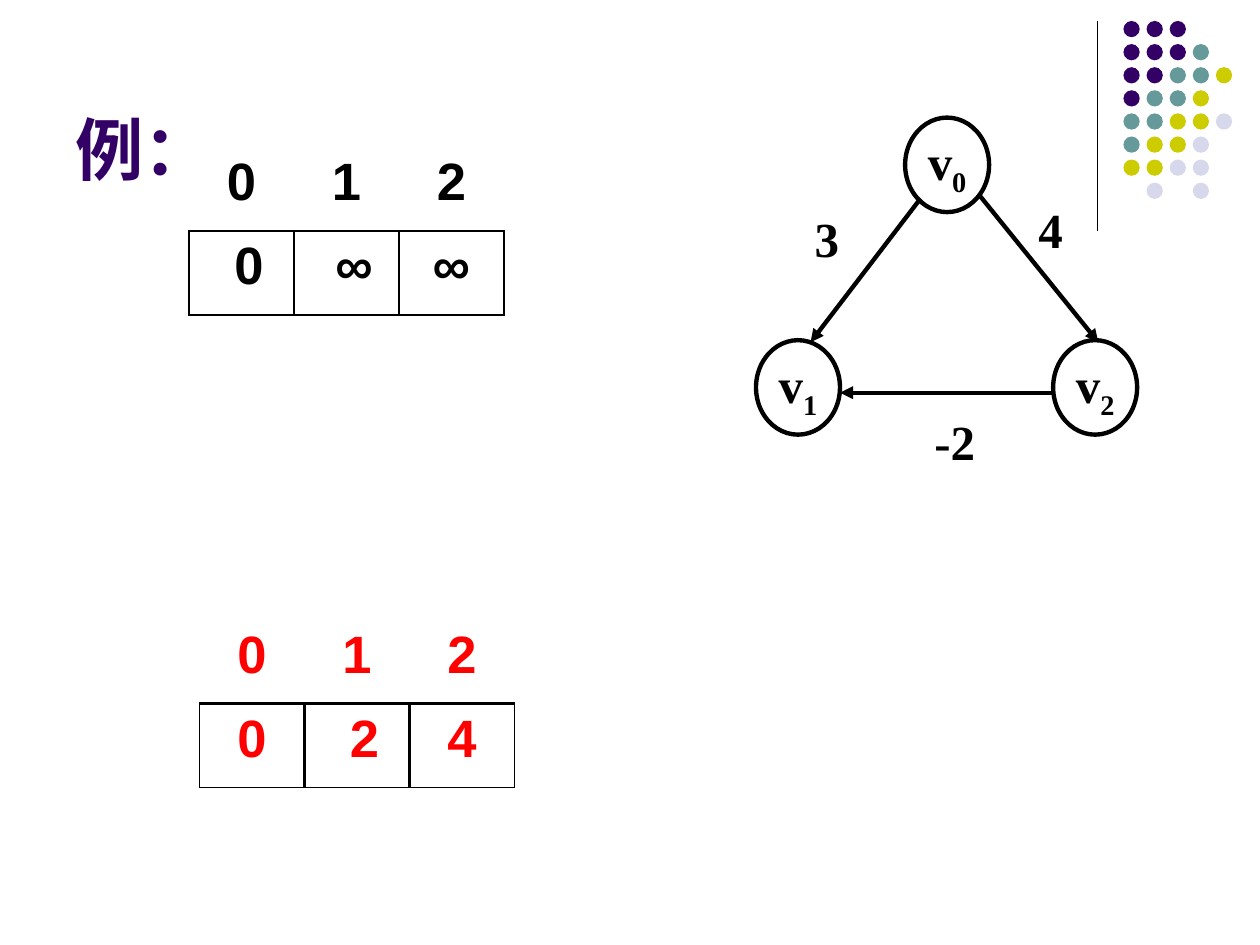
from lxml.etree import SubElement
from pptx import Presentation
from pptx.dml.color import RGBColor
from pptx.enum.shapes import MSO_CONNECTOR, MSO_SHAPE
from pptx.enum.text import MSO_ANCHOR, PP_ALIGN
from pptx.oxml.ns import qn
from pptx.util import Emu, Inches, Pt

BLACK = RGBColor(0x00, 0x00, 0x00)
RED = RGBColor(0xFF, 0x00, 0x00)
PURPLE = RGBColor(0x33, 0x00, 0x66)
TEAL = RGBColor(0x66, 0x99, 0x99)
OLIVE = RGBColor(0xCC, 0xCC, 0x00)
LAVENDER = RGBColor(0xD8, 0xD8, 0xEC)
NO_STYLE = "{2D5ABB26-0587-4C30-8999-92F81FD0307C}"

presentation = Presentation()
presentation.slide_width = Inches(10)
presentation.slide_height = Inches(7.5)
slide = presentation.slides.add_slide(presentation.slide_layouts[6])
shapes = slide.shapes


def grid(*cells):
    """Lengths on a grid of 120 columns by 90 rows."""
    return [Emu(round(cell * presentation.slide_width / 120)) for cell in cells]


def add_line(start, end, width):
    line = shapes.add_connector(MSO_CONNECTOR.STRAIGHT, *grid(*start, *end))
    line.line.color.rgb = BLACK
    line.line.width = Pt(width)
    SubElement(line._element.spPr, qn("a:effectLst"))
    return line


# Corner decoration
add_line((104.5, 2), (104.5, 22), 0.75)
dot_colors = {"P": PURPLE, "T": TEAL, "O": OLIVE, "L": LAVENDER}
dot_rows = ["PPP", "PPPT", "PPTTO", "PTTO", "TTOOL", "TOOL", "OOLL", " L L"]
for row, pattern in enumerate(dot_rows):
    for column, key in enumerate(pattern):
        if key in dot_colors:
            dot = shapes.add_shape(
                MSO_SHAPE.OVAL, *grid(107 + 2.2 * column, 2 + 2.2 * row, 1.55, 1.55))
            dot.shadow.inherit = False
            dot.fill.solid()
            dot.fill.fore_color.rgb = dot_colors[key]
            dot.line.fill.background()

# Title
title = shapes.add_textbox(*grid(6, 1.6, 99, 17))
title.text_frame.word_wrap = True
title.text_frame.vertical_anchor = MSO_ANCHOR.BOTTOM
paragraph = title.text_frame.paragraphs[0]
paragraph.text = "例："
paragraph.font.size = Pt(39)
paragraph.font.name = "Arial"
paragraph.font.bold = True
paragraph.font.color.rgb = PURPLE

# Graph: vertices, edges and weights
graph_texts = []
for number, left, top in [("0", 86.2, 11.2), ("1", 72, 32.4), ("2", 100.3, 32.4)]:
    vertex = shapes.add_shape(MSO_SHAPE.OVAL, *grid(left, top, 8, 9))
    vertex.shadow.inherit = False
    vertex.fill.background()
    vertex.line.color.rgb = BLACK
    vertex.line.width = Pt(2.5)
    vertex.text_frame.vertical_anchor = MSO_ANCHOR.MIDDLE
    paragraph = vertex.text_frame.paragraphs[0]
    paragraph.alignment = PP_ALIGN.CENTER
    paragraph.add_run().text = "v"
    subscript = paragraph.add_run()
    subscript.text = number
    subscript.font._element.set("baseline", "-25000")
    graph_texts.append(vertex)

edges = [((87.6, 19), (77.2, 32.6)), ((93.2, 18.5), (104.6, 32.6)),
         ((100.3, 37.4), (80, 37.4))]
for start, end in edges:
    edge = add_line(start, end, 2.5)
    SubElement(edge.line._get_or_add_ln(), qn("a:tailEnd"), type="triangle")

for weight, left, top, width in [("4", 98.9, 19, 3.4), ("3", 77.6, 19.9, 3.4),
                                 ("-2", 89, 39.2, 7)]:
    label = shapes.add_textbox(*grid(left, top, width, 5.6))
    label.text_frame.text = weight
    graph_texts.append(label)

for shape in graph_texts:
    frame = shape.text_frame
    frame.word_wrap = True
    frame.margin_left = frame.margin_right = frame.margin_top = frame.margin_bottom = 0
    font = frame.paragraphs[0].font
    font.size = Pt(28)
    font.name = "Times New Roman"
    font.bold = True
    font.color.rgb = BLACK

# Distance tables: indices above, boxed values below; indented cells sit further right
indices = ["0", "1", "2"]
distance_tables = [
    (18, 14, ["0", "∞", "∞"], {0, 1}, BLACK),
    (19, 59, ["0", "2", "4"], {1}, RED),
]
for left, top, values, indented, color in distance_tables:
    table_frame = shapes.add_table(2, 3, *grid(left, top, 30, 16))
    table = table_frame.table
    table.first_row = table.horz_banding = False
    table._tbl.tblPr.find(qn("a:tableStyleId")).text = NO_STYLE
    for row, texts in enumerate([indices, values]):
        for column, text in enumerate(texts):
            cell = table.cell(row, column)
            cell.text = text
            if row == 1 and column in indented:
                cell.margin_left = Inches(0.22)
            paragraph = cell.text_frame.paragraphs[0]
            paragraph.alignment = PP_ALIGN.CENTER
            paragraph.font.size = Pt(30)
            paragraph.font.name = "Arial"
            paragraph.font.bold = True
            paragraph.font.color.rgb = color
            inner, outer = 1.47, 1.08
            borders = {"lnB": inner}
            if row == 1:
                borders = {"lnL": inner if column > 0 else outer,
                           "lnR": inner if column < 2 else outer,
                           "lnT": inner, "lnB": outer}
            properties = cell._tc.get_or_add_tcPr()
            for side, width in borders.items():
                border = SubElement(properties, qn(f"a:{side}"), w=str(Pt(width)))
                fill = SubElement(border, qn("a:solidFill"))
                SubElement(fill, qn("a:srgbClr"), val=str(BLACK))
            cell.fill.background()

presentation.save("out.pptx")
